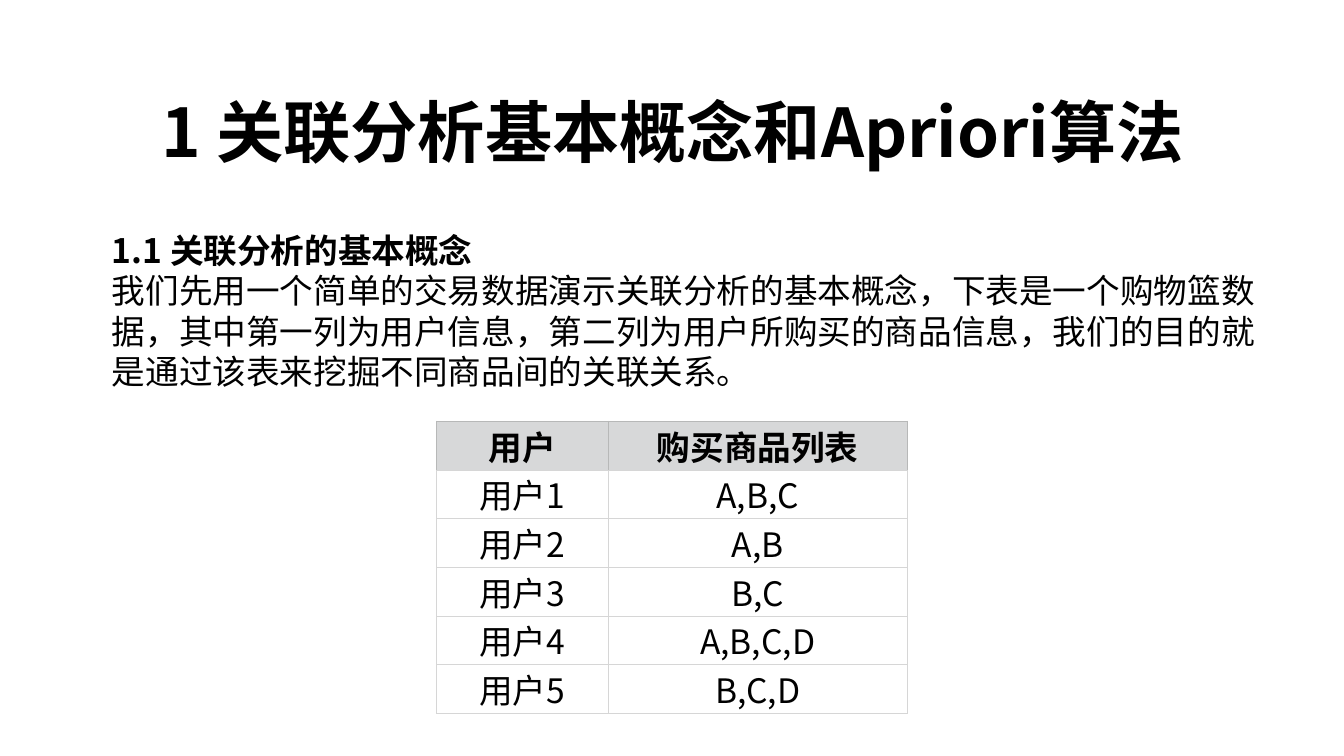
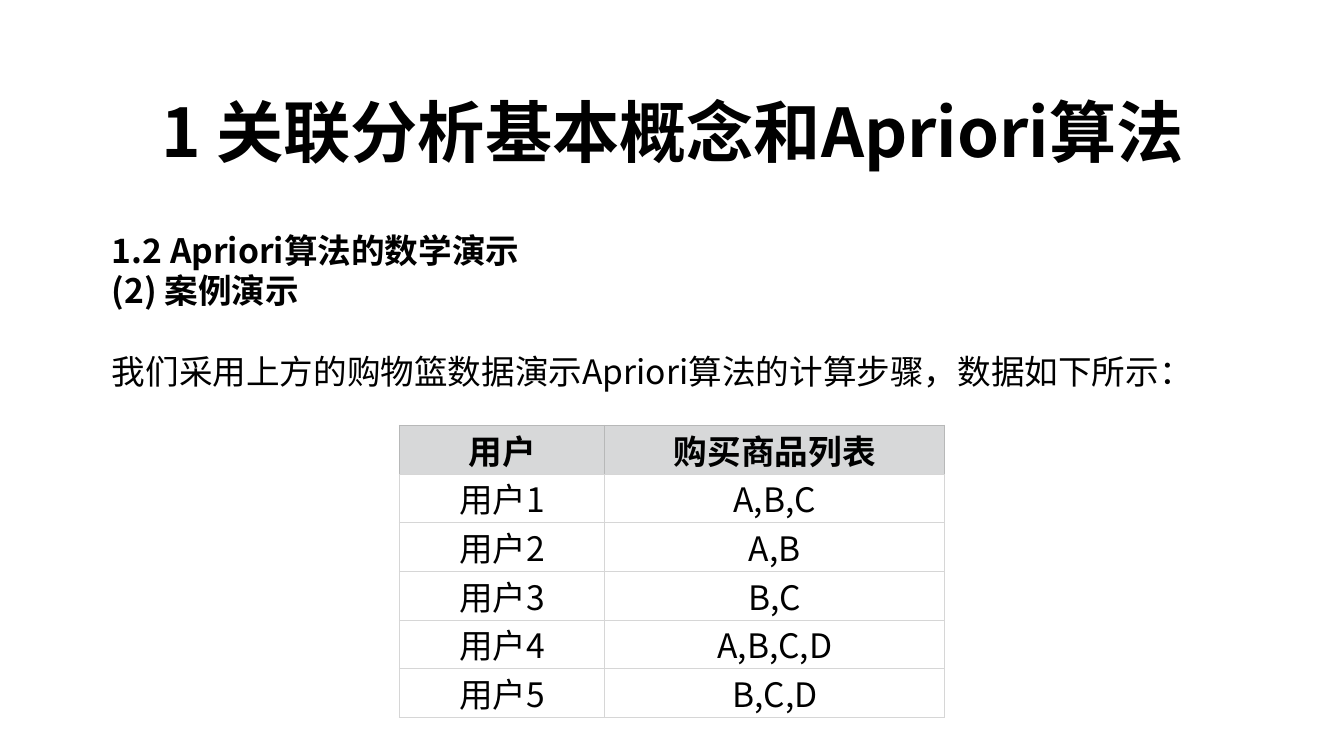
"""Builds two slides on association analysis, each with a heading, body text and a basket table."""
from lxml import etree
from pptx import Presentation, util as u
from pptx.dml.color import RGBColor
from pptx.enum import text
from pptx.oxml import ns

FONT = "Noto Sans CJK SC"
BLACK = RGBColor(0x00, 0x00, 0x00)
WHITE = RGBColor(0xFF, 0xFF, 0xFF)
HEADER_FILL = RGBColor(0xD7, 0xD8, 0xD9)
HEADER_LINE = RGBColor(0xB7, 0xB8, 0xB8)
GRID_LINE = RGBColor(0xD6, 0xD6, 0xD6)
SLIDE_WIDTH, SLIDE_HEIGHT = 13.33, 7.5
TITLE_SIZE, BODY_SIZE, LINE_RATIO = 48, 24, 1.2
TABLE_HEIGHT = 2.9

TITLE = "1 关联分析基本概念和Apriori算法"
BASKETS = [
    ("用户", "购买商品列表"),
    ("用户1", "A,B,C"),
    ("用户2", "A,B"),
    ("用户3", "B,C"),
    ("用户4", "A,B,C,D"),
    ("用户5", "B,C,D"),
]
PAGES = [
    {
        "body": [
            ("1.1 关联分析的基本概念", {"bold": True}),
            ("我们先用一个简单的交易数据演示关联分析的基本概念，下表是一个购物篮数据，"
             "其中第一列为用户信息，第二列为用户所购买的商品信息，"
             "我们的目的就是通过该表来挖掘不同商品间的关联关系。", {}),
        ],
        "body_height": 2.12,
        "table_top": 4.18,
        "columns": (1.7, 2.97),
    },
    {
        "body": [
            ("1.2 Apriori算法的数学演示", {"bold": True}),
            ("(2) 案例演示", {"bold": True}),
            ("我们采用上方的购物篮数据演示Apriori算法的计算步骤，数据如下所示：",
             {"before": BODY_SIZE * LINE_RATIO}),
        ],
        "body_height": 1.72,
        "table_top": 4.22,
        "columns": (2.04, 3.37),
    },
]


def write(para, words, size=BODY_SIZE, bold=False, align=text.PP_ALIGN.LEFT, before=0):
    """Put formatted words into a paragraph."""
    props = para._p.get_or_add_pPr()
    props.set("marL", "0")
    props.set("indent", "0")
    etree.SubElement(props, ns.qn("a:buNone"))
    para.alignment = align
    para.line_spacing = u.Pt(size * LINE_RATIO)
    para.space_before = u.Pt(before)
    para.space_after = u.Pt(0)
    span = para.add_run()
    span.text = words
    span.font.size = u.Pt(size)
    span.font.bold = bold
    span.font.color.rgb = BLACK
    span.font.name = FONT
    etree.SubElement(span._r.get_or_add_rPr(), ns.qn("a:ea"), typeface=FONT)


def place(box, left, top, width, height, inset_top):
    """Move a placeholder and fix its text frame."""
    box.left, box.top, box.width, box.height = map(u.Inches, (left, top, width, height))
    frame = box.text_frame
    frame.word_wrap = True
    frame.auto_size = text.MSO_AUTO_SIZE.NONE
    frame.vertical_anchor = text.MSO_ANCHOR.TOP
    frame.margin_left = frame.margin_right = u.Inches(0.1)
    frame.margin_top, frame.margin_bottom = u.Inches(inset_top), u.Inches(0)
    return frame


def draw_borders(cell, colors):
    """Give a cell its left, right, top and bottom lines."""
    props = cell._tc.get_or_add_tcPr()
    for side, color in zip("LRTB", colors):
        line = etree.SubElement(props, ns.qn(f"a:ln{side}"), w=str(u.Pt(0.75)))
        fill = etree.SubElement(line, ns.qn("a:solidFill"))
        etree.SubElement(fill, ns.qn("a:srgbClr"), val=str(color))


def add_baskets(page, top, columns):
    """Add the basket table, centred across the slide."""
    width = sum(columns)
    left = (SLIDE_WIDTH - width) / 2
    table = page.shapes.add_table(
        len(BASKETS), len(columns), *map(u.Inches, (left, top, width, TABLE_HEIGHT))).table
    table.horz_banding = False
    for column, size in zip(table.columns, columns):
        column.width = u.Inches(size)
    for index, values in enumerate(BASKETS):
        header = index == 0
        edge = HEADER_LINE if header else GRID_LINE
        for cell, value in zip(table.rows[index].cells, values):
            cell.margin_left = cell.margin_right = cell.margin_bottom = u.Inches(0)
            cell.margin_top = u.Inches(0.08)
            cell.vertical_anchor = text.MSO_ANCHOR.MIDDLE
            draw_borders(cell, (edge, edge, edge, GRID_LINE))
            cell.fill.solid()
            cell.fill.fore_color.rgb = HEADER_FILL if header else WHITE
            write(cell.text_frame.paragraphs[0], value, bold=header,
                  align=text.PP_ALIGN.CENTER)


def add_page(deck, content):
    """Add one slide with its title, body and table."""
    page = deck.slides.add_slide(deck.slide_layouts[1])
    title, body = page.placeholders
    frame = place(title, 0.75, 0.8, 11.84, 0.91, 0.1)
    write(frame.paragraphs[0], TITLE, size=TITLE_SIZE, bold=True,
          align=text.PP_ALIGN.CENTER)
    frame = place(body, 1.01, 2.21, 11.57, content["body_height"], 0.07)
    for index, (words, style) in enumerate(content["body"]):
        para = frame.add_paragraph() if index else frame.paragraphs[0]
        write(para, words, **style)
    add_baskets(page, content["table_top"], content["columns"])


def main():
    """Build and save the deck."""
    deck = Presentation()
    deck.slide_width, deck.slide_height = u.Inches(SLIDE_WIDTH), u.Inches(SLIDE_HEIGHT)
    for content in PAGES:
        add_page(deck, content)
    deck.save("out.pptx")


if __name__ == "__main__":
    main()
